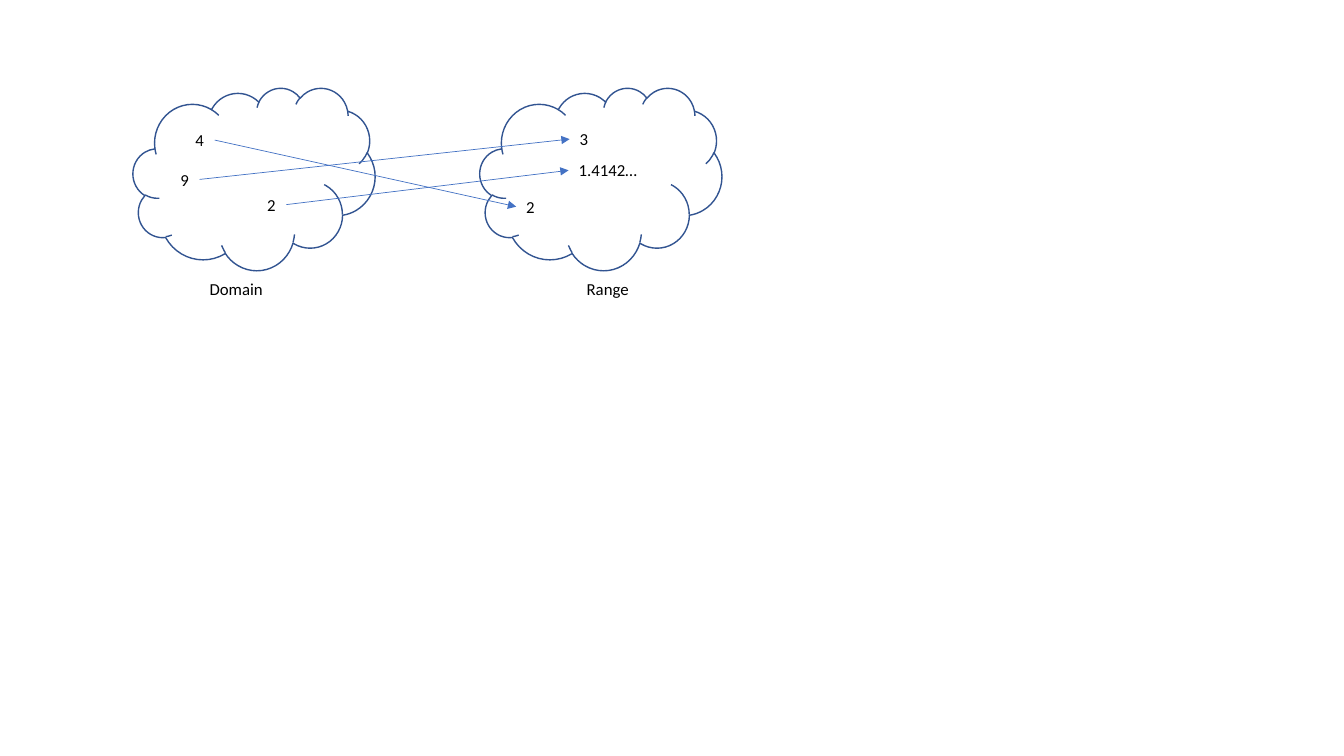
from dataclasses import dataclass

from lxml import etree
from pptx import Presentation
from pptx.dml.color import RGBColor
from pptx.enum.shapes import MSO_CONNECTOR, MSO_SHAPE
from pptx.enum.text import MSO_AUTO_SIZE
from pptx.oxml.ns import qn
from pptx.shapes.autoshape import Shape
from pptx.shapes.shapetree import SlideShapes
from pptx.util import Inches, Pt

CLOUD = MSO_SHAPE.CLOUD
STRAIGHT = MSO_CONNECTOR.STRAIGHT
FIT = MSO_AUTO_SIZE.SHAPE_TO_FIT_TEXT
RIGHT, LEFT = 3, 1


@dataclass(frozen=True)
class Theme:
    font: str = "Calibri"
    size: Pt = Pt(12)
    ink: RGBColor = RGBColor(0, 0, 0)
    paper: RGBColor = RGBColor(255, 255, 255)
    edge: RGBColor = RGBColor(0x32, 0x54, 0x91)
    arrow: RGBColor = RGBColor(0x44, 0x72, 0xC4)
    thick: Pt = Pt(1)
    thin: Pt = Pt(0.5)


@dataclass(frozen=True)
class Label:
    text: str
    left: float
    top: float
    width: float = 0.29


@dataclass(frozen=True)
class Pair:
    start: Label
    end: Label


THEME = Theme()
CLOUDS = (1.32, 4.76)
PAIRS = (
    Pair(Label("4", 1.84, 1.24), Label("2", 5.12, 1.9)),
    Pair(Label("9", 1.69, 1.63), Label("3", 5.65, 1.23)),
    Pair(Label("2", 2.55, 1.88), Label("1.4142…", 5.64, 1.54, 0.79)),
)
NAMES = (Label("Range", 5.72, 2.72, 0.62), Label("Domain", 1.98, 2.72, 0.74))


def add_cloud(shapes: SlideShapes, left: float) -> None:
    """Draw the cloud that holds one set."""
    cloud = shapes.add_shape(CLOUD, Inches(left), Inches(0.87), Inches(2.4), Inches(1.81))
    cloud.shadow.inherit = False
    cloud.fill.solid()
    cloud.fill.fore_color.rgb = THEME.paper
    cloud.line.color.rgb = THEME.edge
    cloud.line.width = THEME.thick


def add_label(shapes: SlideShapes, label: Label) -> Shape:
    """Write a label that fits its text and return its box."""
    box = shapes.add_textbox(
        Inches(label.left), Inches(label.top), Inches(label.width), Inches(0.3)
    )
    frame = box.text_frame
    for key, value in {"word_wrap": False, "auto_size": FIT, "text": label.text}.items():
        setattr(frame, key, value)
    font = frame.paragraphs[0].runs[0].font
    for key, value in {"name": THEME.font, "size": THEME.size}.items():
        setattr(font, key, value)
    font.color.rgb = THEME.ink
    return box


def add_arrow(shapes: SlideShapes, start: Shape, end: Shape) -> None:
    """Join an input to its output with an arrow."""
    arrow = shapes.add_connector(STRAIGHT, 0, 0, 0, 0)
    arrow.begin_connect(start, RIGHT)
    arrow.end_connect(end, LEFT)
    arrow.line.color.rgb = THEME.arrow
    arrow.line.width = THEME.thin
    props = arrow.element.spPr
    etree.SubElement(props.find(qn("a:ln")), qn("a:tailEnd"), type="triangle")
    etree.SubElement(props, qn("a:effectLst"))


def main() -> None:
    """Build the slide and save it."""
    deck = Presentation()
    deck.slide_width, deck.slide_height = Inches(13.33), Inches(7.5)
    shapes = deck.slides.add_slide(deck.slide_layouts[6]).shapes
    for left in CLOUDS:
        add_cloud(shapes, left)
    boxes = [(add_label(shapes, p.start), add_label(shapes, p.end)) for p in PAIRS]
    for start, end in boxes:
        add_arrow(shapes, start, end)
    for name in NAMES:
        add_label(shapes, name)
    deck.save("out.pptx")


if __name__ == "__main__":
    main()
